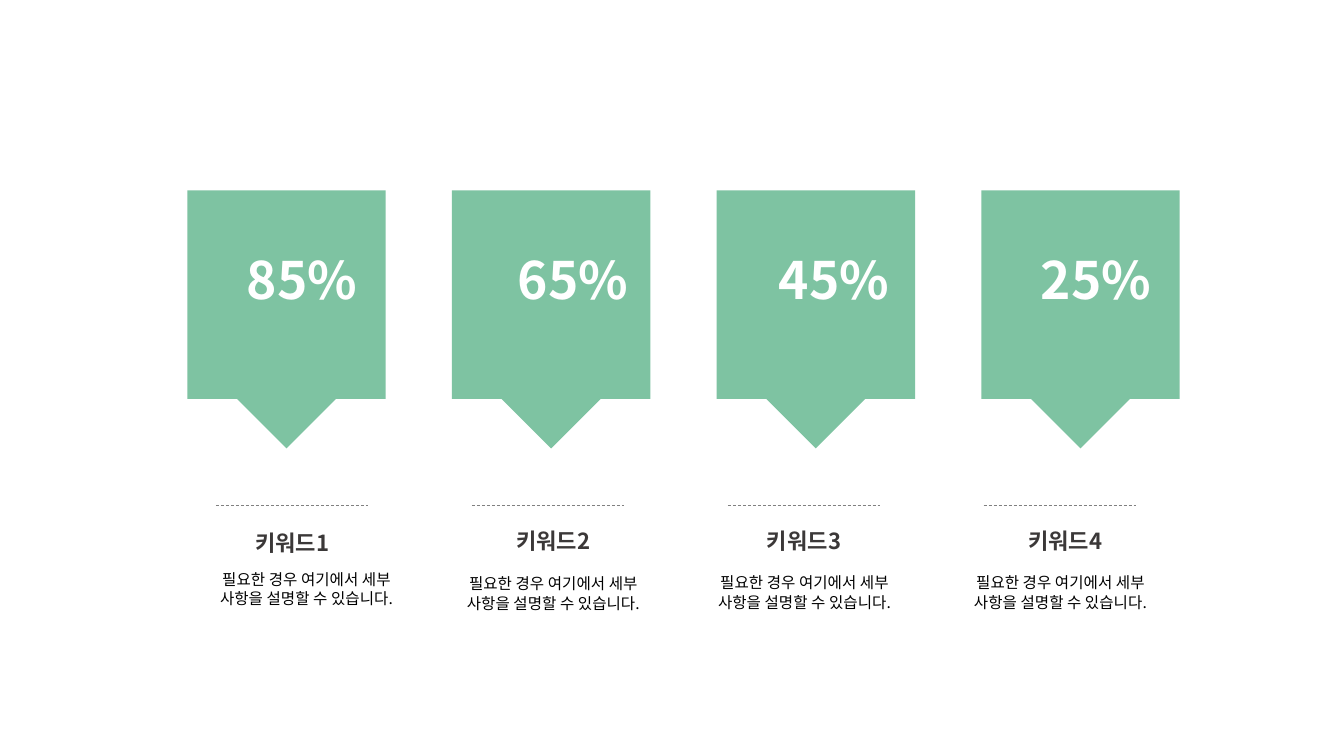
from dataclasses import dataclass

from lxml import etree
from pptx import Presentation
from pptx.dml.color import RGBColor
from pptx.enum.dml import MSO_LINE
from pptx.enum.shapes import MSO_CONNECTOR
from pptx.enum.text import PP_ALIGN
from pptx.oxml.ns import qn
from pptx.slide import Slide
from pptx.util import Cm, Pt

STRAIGHT = MSO_CONNECTOR.STRAIGHT
DASH = MSO_LINE.DASH
LEFT, CENTER = PP_ALIGN.LEFT, PP_ALIGN.CENTER

FONT = "Noto Sans CJK KR"
COLORS = {
    "banner": "7EC3A2",
    "percent": "FFFFFF",
    "keyword": "3B3838",
    "detail": "000000",
    "divider": "808080",
}
DETAIL = "필요한 경우 여기에서 세부 사항을 설명할 수 있습니다."

BANNER_LEFT, BANNER_TOP, BANNER_PITCH = 4.72, 4.8, 6.67
BANNER_WIDTH, BODY_HEIGHT, TIP = 5.0, 5.25, 1.25
DIVIDER_LEFT, DIVIDER_TOP, DIVIDER_PITCH, DIVIDER_WIDTH = 5.44, 12.73, 6.45, 3.84


@dataclass(frozen=True)
class TextStyle:
    size: float
    color: str
    bold: bool = False
    align: PP_ALIGN = CENTER
    wrap: bool = True
    inset: bool = True
    line_spacing: float = 1.0


@dataclass(frozen=True)
class Frame:
    """Position and size in centimetres."""
    left: float
    top: float
    width: float
    height: float


@dataclass(frozen=True)
class Column:
    percent: str
    keyword: str
    percent_frame: Frame
    keyword_frame: Frame
    detail_frame: Frame


PERCENT = TextStyle(36.8, "percent", bold=True, align=LEFT, wrap=False)
KEYWORD = TextStyle(15.8, "keyword", bold=True, inset=False)
DESCRIPTION = TextStyle(11.1, "detail", line_spacing=1.04)


def make_column(percent: str, keyword: str, percent_left: float,
                keyword_left: float, keyword_top: float,
                detail_left: float, detail_top: float) -> Column:
    return Column(
        percent, keyword,
        Frame(percent_left, 6.12, 3.3, 1.83),
        Frame(keyword_left, keyword_top, 4.57, 0.76),
        Frame(detail_left, detail_top, 5.59, 1.35),
    )


COLUMNS = [
    make_column("85%", "키워드1", 5.97, 5.08, 13.34, 4.93, 14.22),
    make_column("65%", "키워드2", 12.8, 11.66, 13.28, 11.15, 14.33),
    make_column("45%", "키워드3", 19.38, 17.98, 13.28, 17.48, 14.3),
    make_column("25%", "키워드4", 25.98, 24.56, 13.28, 23.93, 14.3),
]


def color(name: str) -> RGBColor:
    return RGBColor.from_string(COLORS[name])


def add_banner(page: Slide, left: float) -> None:
    """Draw a rectangle with a triangular tip below its middle."""
    right, middle = left + BANNER_WIDTH, left + BANNER_WIDTH / 2
    bottom = BANNER_TOP + BODY_HEIGHT
    corners = [
        (right, BANNER_TOP), (right, bottom), (middle + TIP, bottom),
        (middle, bottom + TIP), (middle - TIP, bottom), (left, bottom),
    ]
    builder = page.shapes.build_freeform(Cm(left), Cm(BANNER_TOP))
    builder.add_line_segments([(Cm(x), Cm(y)) for x, y in corners], close=True)
    banner = builder.convert_to_shape()
    banner.shadow.inherit = False
    banner.fill.solid()
    banner.fill.fore_color.rgb = color("banner")
    banner.line.fill.background()


def add_divider(page: Slide, left: float) -> None:
    divider = page.shapes.add_connector(
        STRAIGHT, Cm(left), Cm(DIVIDER_TOP),
        Cm(left + DIVIDER_WIDTH), Cm(DIVIDER_TOP))
    divider.line.color.rgb = color("divider")
    divider.line.width = Pt(0.5)
    divider.line.dash_style = DASH
    etree.SubElement(divider._element.spPr, qn("a:effectLst"))


def add_text(page: Slide, frame: Frame, text: str, style: TextStyle) -> None:
    box = page.shapes.add_textbox(
        Cm(frame.left), Cm(frame.top), Cm(frame.width), Cm(frame.height))
    body = box.text_frame
    body.word_wrap = style.wrap
    if not style.inset:
        body.margin_left = body.margin_right = 0
        body.margin_top = body.margin_bottom = 0
    para = body.paragraphs[0]
    para.text = text
    para.alignment = style.align
    para.line_spacing = style.line_spacing
    para.font.size = Pt(style.size)
    para.font.bold = style.bold
    para.font.color.rgb = color(style.color)
    para.font.name = FONT
    latin = para.font._element.find(qn("a:latin"))
    east_asian = etree.Element(qn("a:ea"), typeface=FONT)
    latin.addnext(east_asian)


def main() -> None:
    deck = Presentation()
    deck.slide_width, deck.slide_height = Cm(33.87), Cm(19.05)
    page = deck.slides.add_slide(deck.slide_layouts[6])
    for index, column in enumerate(COLUMNS):
        add_banner(page, BANNER_LEFT + index * BANNER_PITCH)
        add_text(page, column.percent_frame, column.percent, PERCENT)
        add_divider(page, DIVIDER_LEFT + index * DIVIDER_PITCH)
        add_text(page, column.keyword_frame, column.keyword, KEYWORD)
        add_text(page, column.detail_frame, DETAIL, DESCRIPTION)
    deck.save("out.pptx")


if __name__ == "__main__":
    main()
